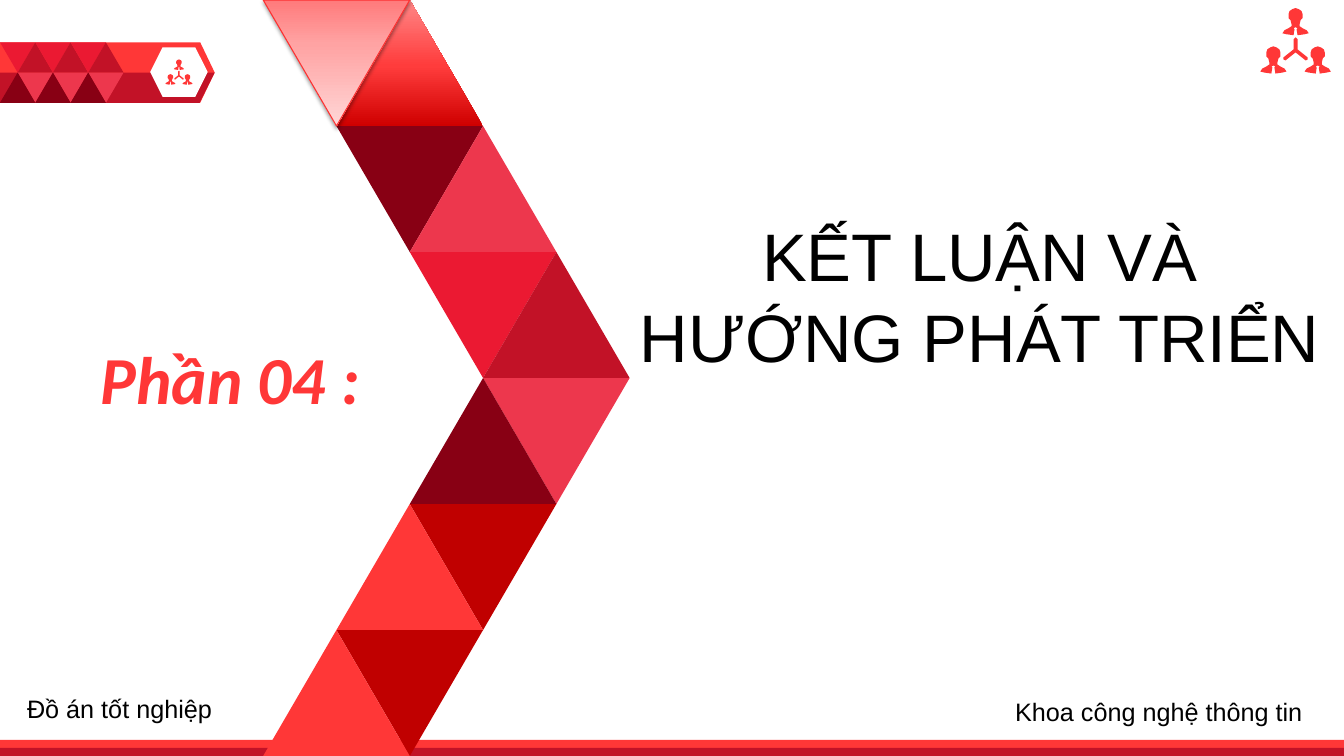
from lxml.etree import SubElement
from pptx import Presentation
from pptx.dml.color import RGBColor
from pptx.enum.shapes import MSO_SHAPE
from pptx.enum.text import PP_ALIGN
from pptx.oxml import parse_xml
from pptx.oxml.ns import nsdecls, qn
from pptx.util import Inches, Pt

RED = RGBColor(0xFF, 0x37, 0x37)
DEEP = RGBColor(0xC0, 0x00, 0x00)
CRIMSON = RGBColor(0xC2, 0x12, 0x27)
SCARLET = RGBColor(0xEB, 0x19, 0x32)
ROSE = RGBColor(0xED, 0x37, 0x4D)
MAROON = RGBColor(0x88, 0x00, 0x14)
OUTLINE = RGBColor(0xFD, 0x30, 0x30)
WHITE = RGBColor(0xFF, 0xFF, 0xFF)
BLACK = RGBColor(0x00, 0x00, 0x00)
W, H = 13.33, 7.5

prs = Presentation()
prs.slide_width, prs.slide_height = Inches(W), Inches(H)
s = prs.slides.add_slide(prs.slide_layouts[6])


def add_block(kind, x, y, w, h, color, down=False):
    sp = s.shapes.add_shape(kind, Inches(x), Inches(y), Inches(w), Inches(h))
    sp.shadow.inherit = False
    sp.fill.solid()
    sp.fill.fore_color.rgb = color
    sp.line.fill.background()
    sp.rotation = 180 if down else 0
    return sp


def add_outline(contours, x, y, scale, color):
    """Fill closed contours, given in units of `scale` inches from (x, y)."""
    contours = [[(Inches(x + a * scale), Inches(y + b * scale)) for a, b in c]
                for c in contours]
    fb = s.shapes.build_freeform(*contours[0][0], scale=1.0)
    for i, points in enumerate(contours):
        if i:
            fb.move_to(*points[0])
        fb.add_line_segments(points[1:], close=True)
    sp = fb.convert_to_shape()
    sp.shadow.inherit = False
    sp.fill.solid()
    sp.fill.fore_color.rgb = color
    sp.line.fill.background()


# Team icon: three people around a Y-shaped link
half_person = [(0, 0), (0.03, 0.01), (0.06, 0.03), (0.07, 0.06), (0.07, 0.1),
               (0.05, 0.12), (0.04, 0.16), (0.04, 0.18), (0.07, 0.2),
               (0.11, 0.22), (0.13, 0.25), (0.09, 0.26), (0.02, 0.27),
               (0.01, 0.21), (0.02, 0.2), (0, 0.19)]
person = half_person + [(-a, b) for a, b in half_person[-2:0:-1]]
half_link = [(0, 0.29), (0.02, 0.31), (0.02, 0.41), (0.12, 0.49), (0.12, 0.51),
             (0.1, 0.52), (0, 0.44)]
link = half_link + [(-a, b) for a, b in half_link[-2:0:-1]]
team = [[(a + dx, b + dy) for a, b in person]
        for dx, dy in ((0, 0), (-0.22, 0.38), (0.22, 0.38))] + [link]

# Header badge
badge_top, badge_w, badge_row = 0.42, 2.13, 0.3
badge_mid = badge_top + badge_row
sp = add_block(MSO_SHAPE.PENTAGON, 0, badge_top, badge_w, 2 * badge_row, RED)
sp.adjustments[0] = 0.24
add_outline([[(0, 0), (badge_w, 0), (badge_w - 0.15, badge_row), (0, badge_row)]],
            0, badge_mid, 1, CRIMSON)
add_block(MSO_SHAPE.HEXAGON, 1.49, 0.47, 0.57, 0.49, WHITE)
add_outline(team, 1.775, 0.59, 0.385, RED)
tile_w = 0.35
for col in range(3):
    x = col * tile_w
    for dx, y, color, down in ((0, badge_top, SCARLET, True),
                               (tile_w / 2, badge_top, CRIMSON, False),
                               (tile_w / 2, badge_mid, ROSE, True),
                               (0, badge_mid, MAROON, False)):
        add_block(MSO_SHAPE.ISOSCELES_TRIANGLE, x + dx, y, tile_w, badge_row, color, down)

# Footer stripes
for thickness, color in ((0.16, RED), (0.08, CRIMSON)):
    add_block(MSO_SHAPE.RECTANGLE, 0, H - thickness, W, thickness, color)

# Chevron of triangles: half-column, row, colour, pointing down
band_x, half, row = 2.61, 0.727, H / 6
band = [(1, 0, RED, False), (1, 1, MAROON, True), (0, 0, RED, True),
        (2, 1, ROSE, False), (2, 2, SCARLET, True), (3, 2, CRIMSON, False),
        (3, 3, ROSE, True), (2, 3, MAROON, False), (2, 4, DEEP, True),
        (1, 4, RED, False), (1, 5, DEEP, True), (0, 5, RED, False)]
triangles = [add_block(MSO_SHAPE.ISOSCELES_TRIANGLE, band_x + c * half, r * row,
                       2 * half, row, color, down) for c, r, color, down in band]

# Gradients on the two top triangles
for sp, stops in ((triangles[0], ((0, "CF0000"), (48, "FF3C3C"), (100, "FF8787"))),
                  (triangles[2], ((0, "FF7A7B"), (35, "FFA3A3"), (100, "FFD6D6")))):
    solid = sp._element.spPr.find(qn("a:solidFill"))
    grad = parse_xml(f'<a:gradFill {nsdecls("a")} rotWithShape="1"><a:gsLst/>'
                     '<a:lin ang="16200000" scaled="0"/></a:gradFill>')
    for pos, color in stops:
        gs = SubElement(grad[0], qn("a:gs"), pos=str(pos * 1000))
        SubElement(gs, qn("a:srgbClr"), val=color)
    solid.getparent().replace(solid, grad)

# Outline and soft shadow on the top left triangle
sp = triangles[2]
sp.line.color.rgb = OUTLINE
sp.line.width = Pt(0.75)
effects = sp._element.spPr.find(qn("a:effectLst"))
effects.append(parse_xml(
    f'<a:outerShdw {nsdecls("a")} blurRad="{Pt(3.1)}" dist="{Pt(1.6)}" dir="5400000" '
    'rotWithShape="0"><a:srgbClr val="000000"><a:alpha val="38000"/></a:srgbClr>'
    '</a:outerShdw>'))

add_outline(team, 12.85, 0.08, 1, RED)

# Texts: wording, box, size, font, colour, heading style, alignment
for text, box, size, font, color, strong, align in (
        ("Phần 04 :", (0.9, 3.3, 4.12, 0.9), 48, "Calibri", RED, True, PP_ALIGN.LEFT),
        ("KẾT LUẬN VÀ HƯỚNG PHÁT TRIỂN", (6.22, 2.08, 7, 1.71), 48, "Arial", BLACK,
         False, PP_ALIGN.CENTER),
        ("Đồ án tốt nghiệp", (0.17, 6.83, 2.83, 0.4), 18, "Arial", BLACK, False,
         PP_ALIGN.LEFT),
        ("Khoa công nghệ thông tin", (9.97, 6.86, 3.33, 0.4), 18, "Arial", BLACK, False,
         PP_ALIGN.LEFT)):
    tf = s.shapes.add_textbox(*map(Inches, box)).text_frame
    tf.word_wrap = True
    tf.text = text
    p = tf.paragraphs[0]
    p.alignment = align
    r = p.runs[0]
    r.font.size, r.font.name = Pt(size), font
    r.font.color.rgb = color
    r.font.bold = r.font.italic = strong

prs.save("out.pptx")
